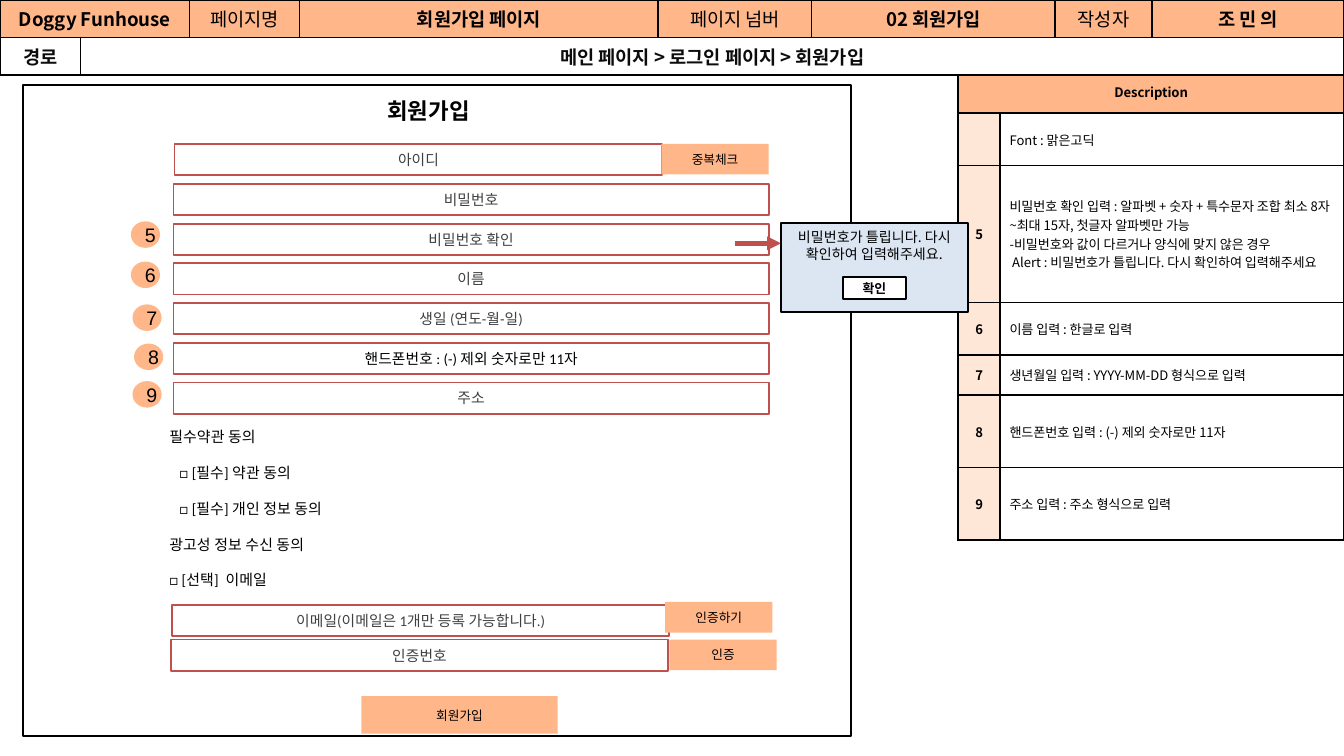
import pptx
import pptx.dml.color
import pptx.enum.shapes
import pptx.enum.text
import pptx.oxml.ns
import pptx.util
from lxml import etree

Cm, Pt = pptx.util.Cm, pptx.util.Pt
SHAPE = pptx.enum.shapes.MSO_SHAPE
ANCHOR = pptx.enum.text.MSO_ANCHOR
ALIGN = pptx.enum.text.PP_ALIGN
qn = pptx.oxml.ns.qn

COLORS = {"peach": "FFB689", "pale": "FFE7D8", "white": "FFFFFF", "black": "000000",
          "near_black": "0C0C0C", "red": "C0504D", "gray": "3F3F3F", "blue": "DCE6F2"}
KOREAN = "Noto Sans CJK KR"
SHAPE_FRAME = {"margin_left": Cm(0.18), "margin_right": Cm(0.18), "margin_top": Cm(0.1),
               "margin_bottom": Cm(0.1), "word_wrap": True, "vertical_anchor": ANCHOR.MIDDLE}
TOP_FRAME = {**SHAPE_FRAME, "vertical_anchor": ANCHOR.TOP,
             "auto_size": pptx.enum.text.MSO_AUTO_SIZE.NONE}
FIELD_FONT = {"name": "Calibri", "size": Pt(7.9)}
BUTTON_FONT = {"name": "Arial", "size": Pt(6.8)}
BADGE_FONT = {"name": "Arial", "size": Pt(10.5)}


def rgb(color):
    return pptx.dml.color.RGBColor.from_string(COLORS[color])


def set_formats(target, formats):
    for attribute, value in formats.items():
        setattr(target, attribute, value)


def write(frame, lines, font, color="black", align=ALIGN.CENTER, indents=None, **paragraph_formats):
    """Fill a text frame; indents maps a line's index to its left margin in cm."""
    for index, line in enumerate(lines):
        paragraph = frame.paragraphs[0] if index == 0 else frame.add_paragraph()
        properties = paragraph._p.get_or_add_pPr()
        properties.set("marL", str(Cm((indents or {}).get(index, 0))))
        properties.set("indent", "0")
        etree.SubElement(properties, qn("a:buNone"))
        set_formats(paragraph, {"alignment": align, **paragraph_formats})
        run = paragraph.add_run()
        run.text = line
        set_formats(run.font, font)
        run.font.color.rgb = rgb(color)
        etree.SubElement(run._r.get_or_add_rPr(), qn("a:ea"), typeface=font["name"])


def place(shape, left, top, width, height):
    set_formats(shape, {"left": Cm(left), "top": Cm(top),
                        "width": Cm(width), "height": Cm(height)})


def add_box(shapes, box, fill=None, line=None, weight=1, kind=SHAPE.RECTANGLE,
            text=None, font=None, color="black", frame=SHAPE_FRAME):
    shape = shapes.add_shape(kind, *map(Cm, box))
    shape.shadow.inherit = False
    if fill:
        shape.fill.solid()
        shape.fill.fore_color.rgb = rgb(fill)
    else:
        shape.fill.background()
    if line:
        shape.line.color.rgb = rgb(line)
        shape.line.width = Pt(weight)
    else:
        shape.line.fill.background()
    if text:
        set_formats(shape.text_frame, frame)
        write(shape.text_frame, [text], font, color)


def add_grid(slide, left, top, widths, heights):
    """Add a plain table with black borders on every cell."""
    table = slide.shapes.add_table(len(heights), len(widths), Cm(left), Cm(top),
                                   Cm(sum(widths)), Cm(sum(heights))).table
    set_formats(table, {"first_row": False, "horz_banding": False})
    for column, width in zip(table.columns, widths):
        column.width = Cm(width)
    for row, height in zip(table.rows, heights):
        row.height = Cm(height)
    for cell in table.iter_cells():
        properties = cell._tc.get_or_add_tcPr()
        for side in ("lnL", "lnR", "lnT", "lnB"):
            border = etree.SubElement(properties, qn(f"a:{side}"), w=str(Pt(1)))
            solid = etree.SubElement(border, qn("a:solidFill"))
            etree.SubElement(solid, qn("a:srgbClr"), val=COLORS["black"])
    return table


def fill_cell(cell, lines, fill, font, margins, anchor=ANCHOR.MIDDLE, **text_formats):
    across, down = margins
    set_formats(cell, {"margin_left": Cm(across), "margin_right": Cm(across),
                       "margin_top": Cm(down), "margin_bottom": Cm(down),
                       "vertical_anchor": anchor})
    cell.fill.solid()
    cell.fill.fore_color.rgb = rgb(fill)
    write(cell.text_frame, lines, font, **text_formats)


def add_description(slide, left, top):
    notes = [("", ["Font : 맑은고딕"]),
             ("5", ["비밀번호 확인 입력 : 알파벳 + 숫자 + 특수문자 조합 최소 8자 ~최대 15자, 첫글자 알파벳만 가능",
                    "-비밀번호와 값이 다르거나 양식에 맞지 않은 경우",
                    "Alert : 비밀번호가 틀립니다. 다시 확인하여 입력해주세요"]),
             ("6", ["이름 입력 : 한글로 입력"]),
             ("7", ["생년월일 입력 : YYYY-MM-DD 형식으로 입력"]),
             ("8", ["핸드폰번호 입력 : (-) 제외 숫자로만 11자"]),
             ("9", ["주소 입력 : 주소 형식으로 입력"])]
    table = add_grid(slide, left, top, [0.79, 6.5], [0.79, 0.99, 2.59, 0.99, 0.76, 1.37, 1.37])
    plain = {"name": KOREAN, "size": Pt(7), "bold": False}
    bold = {**plain, "bold": True}
    margins = (0.18, 0.08)
    table.cell(0, 0).merge(table.cell(0, 1))
    fill_cell(table.cell(0, 0), ["Description"], "peach", bold, margins)
    for row, (number, lines) in enumerate(notes, 1):
        fill_cell(table.cell(row, 0), [number] if number else [], "pale", bold, margins)
        fill_cell(table.cell(row, 1), lines, "white", plain, margins,
                  align=ALIGN.LEFT, indents={2: 0.05})


def add_page_header(slide, left, top):
    headings = ["Doggy Funhouse", None, "페이지명", "회원가입 페이지", "페이지 넘버",
                "02 회원가입", "작성자", "조 민 의"]
    labels = {"페이지명", "페이지 넘버", "작성자"}
    table = add_grid(slide, left, top, [1.52, 2.06, 2.08, 6.78, 2.9, 4.6, 1.83, 3.63], [0.61, 0.61])
    bold = {"name": KOREAN, "size": Pt(10), "bold": True}
    margins = (0.23, 0.1)
    table.cell(0, 0).merge(table.cell(0, 1))
    table.cell(1, 1).merge(table.cell(1, 7))
    for column, heading in enumerate(headings):
        if heading:
            fill_cell(table.cell(0, column), [heading], "peach",
                      {**bold, "bold": heading not in labels}, margins, ANCHOR.TOP)
    for column, route in enumerate(["경로", "메인 페이지 > 로그인 페이지 > 회원가입"]):
        fill_cell(table.cell(1, column), [route], "white", bold, margins, color="near_black")


def add_sign_up_form(slide, left, top, width, height):
    def inside(x, y, *size):
        return left + x, top + y, *size

    shapes = slide.shapes
    add_box(shapes, (left, top, width, height), line="black")

    title = shapes.title
    place(title, *inside(4.98, 0.13, 5.38, 0.71))
    set_formats(title.text_frame, TOP_FRAME)
    write(title.text_frame, ["회원가입"], {"name": "Calibri", "size": Pt(12), "bold": True})

    terms = slide.placeholders[1]
    place(terms, *inside(2.59, 6.05, 8.53, 3.51))
    set_formats(terms.text_frame, TOP_FRAME)
    write(terms.text_frame,
          ["필수약관 동의", "□ [필수] 약관 동의", "□ [필수] 개인 정보 동의",
           "광고성 정보 수신 동의", "□ [선택]  이메일"],
          {"name": "Calibri", "size": Pt(8)}, align=ALIGN.LEFT, indents={1: 0.19, 2: 0.19},
          line_spacing=2.0, space_before=Pt(0))

    names = ["비밀번호", "비밀번호 확인", "이름", "생일 (연도-월-일)",
             "핸드폰번호 : (-) 제외 숫자로만 11자", "주소"]
    fields = [(name, 2.85, 1.88 + 0.75 * row, 11.25) for row, name in enumerate(names)]
    fields += [("아이디", 2.87, 1.12, 9.22),
               ("이메일(이메일은 1개만 등록 가능합니다.)", 2.82, 9.83, 9.4),
               ("인증번호", 2.8, 10.49, 9.4)]
    for name, x, y, field_width in fields:
        add_box(shapes, inside(x, y, field_width, 0.59), line="red", text=name, font=FIELD_FONT,
                color="black" if name.startswith("핸드폰") else "gray")

    buttons = [("중복체크", 12.07, 1.12, 2.03, 0.58), ("인증하기", 12.14, 9.78, 2.03, 0.58),
               ("인증", 12.22, 10.49, 2.03, 0.58), ("회원가입", 6.4, 11.56, 3.71, 0.71)]
    for name, *box in buttons:
        add_box(shapes, inside(*box), fill="peach", text=name, font=BUTTON_FONT)

    badges = [(2.08, 2.62), (2.08, 3.38), (2.11, 4.19), (2.14, 4.93), (2.11, 5.64)]
    for number, (x, y) in enumerate(badges, 5):
        add_box(shapes, inside(x, y, 0.48, 0.43), fill="peach", line="peach", weight=2,
                kind=SHAPE.OVAL, text=str(number), font=BADGE_FONT)


def add_password_alert(slide, left, top, width, height):
    arrow = slide.shapes.add_connector(pptx.enum.shapes.MSO_CONNECTOR.STRAIGHT, Cm(left - 0.87),
                                       Cm(top + 0.38), Cm(left), Cm(top + 0.38))
    arrow.line.color.rgb = rgb("red")
    arrow.line.width = Pt(2.5)
    etree.SubElement(arrow.line._get_or_add_ln(), qn("a:tailEnd"), type="triangle")
    etree.SubElement(arrow._element.spPr, qn("a:effectLst"))

    popup = slide.shapes.add_group_shape().shapes
    add_box(popup, (left, top, width, height), fill="blue", line="black",
            text="비밀번호가 틀립니다. 다시 확인하여 입력해주세요.",
            font={"name": KOREAN, "size": Pt(7.5)}, frame=TOP_FRAME)
    add_box(popup, (left + 1.17, top + 1.02, 1.19, 0.41), fill="white", line="black",
            text="확인", font={"name": "Arial", "size": Pt(6.9), "bold": True})


def main():
    presentation = pptx.Presentation()
    set_formats(presentation, {"slide_width": Cm(25.4), "slide_height": Cm(14.29)})
    slide = presentation.slides.add_slide(presentation.slide_layouts[1])
    add_description(slide, 18.11, 1.35)
    add_page_header(slide, 0, 0)
    add_sign_up_form(slide, 0.43, 1.6, 15.65, 12.32)
    add_password_alert(slide, 14.76, 4.22, 3.53, 1.68)
    presentation.save("out.pptx")


if __name__ == "__main__":
    main()
